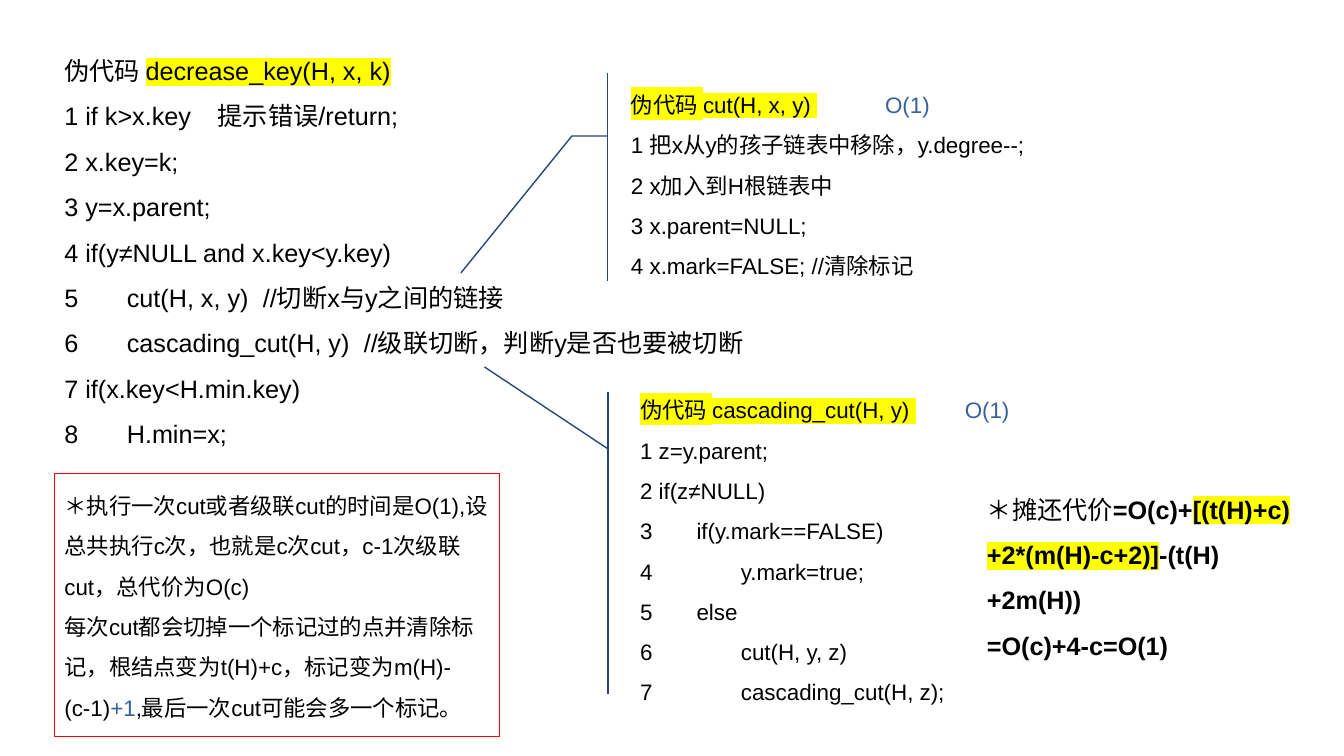
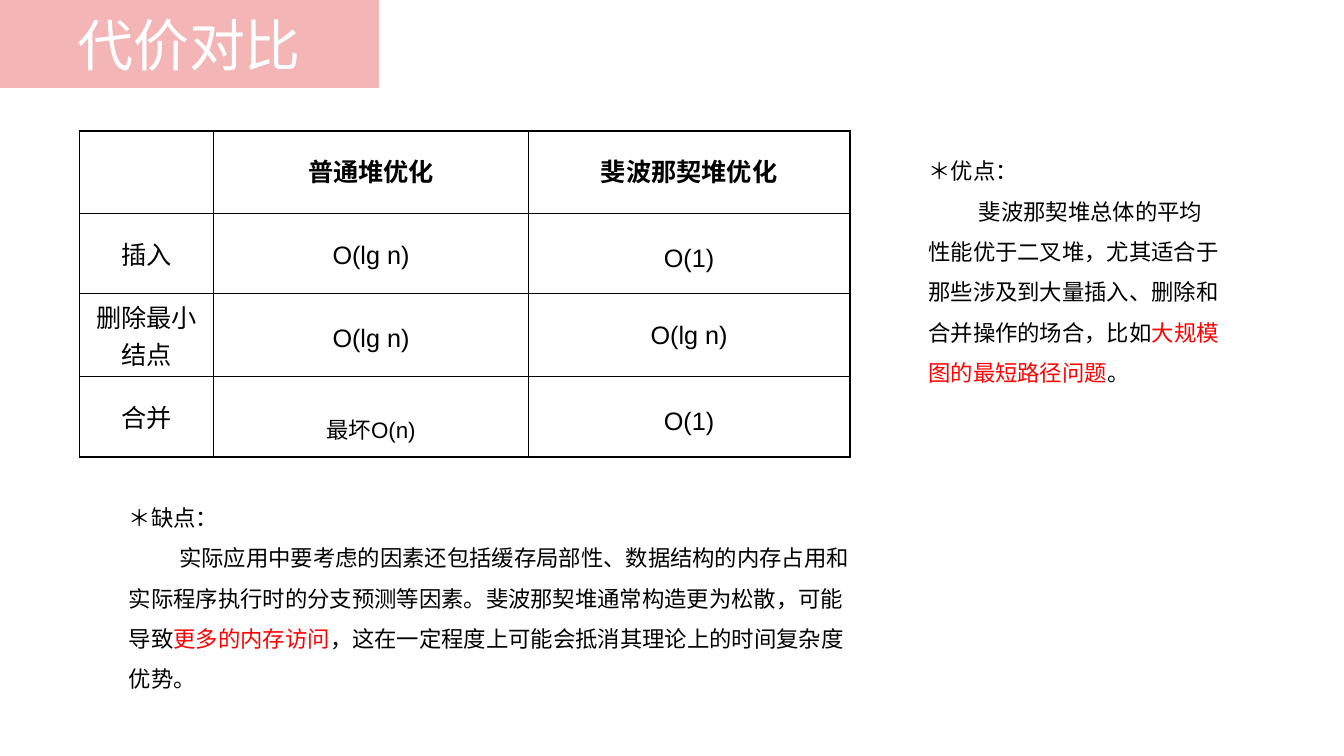
import pptx
import pptx.dml.color
import pptx.enum.shapes
import pptx.enum.text
import pptx.oxml
import pptx.oxml.ns
import pptx.util
from lxml import etree

Inches, Pt = pptx.util.Inches, pptx.util.Pt
qn = pptx.oxml.ns.qn
rgb = pptx.dml.color.RGBColor.from_string
SHAPES = pptx.enum.shapes.MSO_SHAPE
CENTER = pptx.enum.text.PP_ALIGN.CENTER
TOP = pptx.enum.text.MSO_ANCHOR.TOP
MIDDLE = pptx.enum.text.MSO_ANCHOR.MIDDLE

LATIN, CHINESE = "Arial", "Noto Sans CJK SC"
BLACK, WHITE, RED = "000000", "FFFFFF", "FF0000"
BLUE, NAVY, PINK, YELLOW = "37609E", "294775", "F3B5B6", "FFFF00"


def write(frame, paragraphs, size, spacing=1.5, tabs=(), align=None, indents=()):
    """Fill a frame; a paragraph is a string or a list of runs, a run a string or (text, style).

    Spacing counts lines of 1.2 times the text size; indents lists first-line indents.
    """
    frame.word_wrap = True
    for number, runs in enumerate(paragraphs):
        paragraph = frame.paragraphs[0] if number == 0 else frame.add_paragraph()
        paragraph.alignment = align
        if spacing:
            paragraph.line_spacing = Pt(round(spacing * 1.2 * size, 1))
        properties = paragraph._p.get_or_add_pPr()
        if indents:
            properties.set("marL", "0")
            properties.set("indent", str(Inches(indents[number])))
        if tabs:
            stops = etree.SubElement(properties, qn("a:tabLst"))
            for stop in tabs:
                etree.SubElement(stops, qn("a:tab"), pos=str(Inches(stop)), algn="l")
        for item in [runs] if isinstance(runs, str) else runs:
            text, style = (item, {}) if isinstance(item, str) else item
            run = paragraph.add_run()
            run.text = text
            run.font.size = Pt(size)
            run.font.name = LATIN
            run.font.bold = style.get("bold", False)
            run.font.color.rgb = rgb(style.get("color", BLACK))
            run_properties = run._r.get_or_add_rPr()
            latin = run_properties.find(qn("a:latin"))
            latin.addnext(latin.makeelement(qn("a:ea"), {"typeface": CHINESE}))
            if style.get("marked"):
                highlight = etree.Element(qn("a:highlight"))
                etree.SubElement(highlight, qn("a:srgbClr"), val=YELLOW)
                run_properties.find(qn("a:solidFill")).addnext(highlight)


def add_text(slide, box, paragraphs, size, **layout):
    frame = slide.shapes.add_textbox(*map(Inches, box)).text_frame
    write(frame, paragraphs, size, **layout)


deck = pptx.Presentation()
deck.slide_width, deck.slide_height = Inches(13.33), Inches(7.5)
MARKED = {"marked": True}
BOLD = {"bold": True}
IN_BLUE = {"color": BLUE}
IN_RED = {"color": RED}

# Slide 1: pseudocode of decrease_key and its helpers
code_slide = deck.slides.add_slide(deck.slide_layouts[6])

add_text(code_slide, (0.54, 0.35, 11.87, 5.48), [
    ["伪代码 ", ("decrease_key(H, x, k)", MARKED)],
    "1 if k>x.key\t提示错误/return;",
    "2 x.key=k;",
    "3 y=x.parent;",
    "4 if(y≠NULL and x.key<y.key)",
    "5\tcut(H, x, y)\t//切断x与y之间的链接",
    "6\tcascading_cut(H, y)\t//级联切断，判断y是否也要被切断",
    "7 if(x.key<H.min.key)",
    "8\tH.min=x;",
], 18, tabs=(0.62, 1.52, 1.97, 2.97))

callouts = [
    (SHAPES.LINE_CALLOUT_2_ACCENT_BAR, (6.32, 0.72, 3.54, 2.07),
     (0.304, -0.083, 0.304, -0.183, 0.961, -0.494)),
    (SHAPES.LINE_CALLOUT_1_ACCENT_BAR, (6.25, 3.89, 2.64, 3),
     (0.188, -0.083, -0.083, -0.547)),
]
for kind, box, bends in callouts:
    callout = code_slide.shapes.add_shape(kind, *map(Inches, box))
    callout.shadow.inherit = False
    callout.fill.background()
    callout.line.color.rgb = rgb(NAVY)
    callout.line.width = Pt(1)
    for number, bend in enumerate(bends):
        callout.adjustments[number] = bend

add_text(code_slide, (6.16, 0.72, 4.61, 2.39), [
    [("伪代码 cut(H, x, y) ", MARKED), ("\tO(1)", IN_BLUE)],
    "1 把x从y的孩子链表中移除，y.degree--;",
    "2 x加入到H根链表中",
    "3 x.parent=NULL;",
    "4 x.mark=FALSE; //清除标记",
], 16, tabs=(2.52,))

add_text(code_slide, (6.25, 3.75, 5.01, 3.03), [
    [("伪代码 cascading_cut(H, y) ", MARKED), ("\tO(1)", IN_BLUE)],
    "1 z=y.parent;",
    "2 if(z≠NULL)",
    "3\tif(y.mark==FALSE)",
    "4\t\ty.mark=true;",
    "5\telse",
    "6\t\tcut(H, y, z)",
    "7\t\tcascading_cut(H, z);",
], 16, tabs=(0.56, 1, 3.22))

cost_note = code_slide.shapes.add_shape(
    SHAPES.RECTANGLE, Inches(0.54), Inches(4.7), Inches(4.41), Inches(2.61))
cost_note.shadow.inherit = False
cost_note.fill.background()
cost_note.line.color.rgb = rgb(RED)
cost_note.line.width = Pt(0.75)
cost_note.text_frame.vertical_anchor = TOP
write(cost_note.text_frame, [
    "＊执行一次cut或者级联cut的时间是O(1),设总共执行c次，也就是c次cut，"
    "c-1次级联cut，总代价为O(c)",
    ["每次cut都会切掉一个标记过的点并清除标记，根结点变为t(H)+c，标记变为m(H)-(c-1)",
     ("+1", IN_BLUE), ",最后一次cut可能会多一个标记。"],
], 16, align=pptx.enum.text.PP_ALIGN.LEFT)

add_text(code_slide, (9.69, 4.7, 3.26, 2.2), [
    ["＊摊还代价", ("=O(c)+", BOLD),
     ("[(t(H)+c)+2*(m(H)-c+2)]", {"bold": True, "marked": True}),
     ("-(t(H)+2m(H))", BOLD)],
    [("=O(c)+4-c=O(1)", BOLD)],
], 18)

# Slide 2: comparison of costs
cost_slide = deck.slides.add_slide(deck.slide_layouts[5])

title = cost_slide.shapes.title
title.left, title.top = Inches(0), Inches(0)
title.width, title.height = Inches(3.75), Inches(0.87)
title.fill.solid()
title.fill.fore_color.rgb = rgb(PINK)
title.line.color.rgb = rgb(PINK)
title.line.width = Pt(1)
title.text_frame.auto_size = pptx.enum.text.MSO_AUTO_SIZE.NONE
title.text_frame.vertical_anchor = MIDDLE
write(title.text_frame, [[("代价对比", {"color": WHITE})]], 40, spacing=None, align=CENTER)

# Each cell: text, size, line spacing (None for single)
cost_rows = [
    [("", 18, None), ("普通堆优化", 18, 1.1), ("斐波那契堆优化", 18, 1.1)],
    [("插入", 18, None), ("O(lg n)", 18, 1.7), ("O(1)", 18, 1.8)],
    [("删除最小结点", 18, None), ("O(lg n)", 18, 1.8), ("O(lg n)", 18, 1.7)],
    [("合并", 18, None), ("最坏O(n)", 16, 2.35), ("O(1)", 18, 1.8)],
]
column_widths = (1.33, 3.12, 3.19)
row_heights = (0.82, 0.79, 0.8, 0.8)
costs = cost_slide.shapes.add_table(
    len(cost_rows), len(column_widths), Inches(0.79), Inches(1.3),
    Inches(sum(column_widths)), Inches(sum(row_heights))).table
costs.first_row = costs.horz_banding = False
for column, width in zip(costs.columns, column_widths):
    column.width = Inches(width)
for row, height, entries in zip(costs.rows, row_heights, cost_rows):
    row.height = Inches(height)
    header = entries is cost_rows[0]
    for cell, (text, size, spacing) in zip(row.cells, entries):
        cell.vertical_anchor = MIDDLE if header or spacing is None else TOP
        if text:
            write(cell.text_frame, [[(text, {"bold": header})]], size,
                  spacing=spacing, align=CENTER)
        cell_properties = cell._tc.get_or_add_tcPr()
        for side in ("a:lnL", "a:lnR", "a:lnT", "a:lnB"):
            border = etree.SubElement(cell_properties, qn(side), w=str(Pt(1)))
            ink = etree.SubElement(border, qn("a:solidFill"))
            etree.SubElement(ink, qn("a:srgbClr"), val=BLACK)
        cell.fill.background()

add_text(cost_slide, (9.11, 1.38, 3.1, 2.73), [
    "＊优点：",
    ["斐波那契堆总体的平均性能优于二叉堆，尤其适合于那些涉及到大量插入、删除和合并操作的场合，比如",
     ("大规模图的最短路径问题", IN_RED), "。"],
], 16, indents=(0, 0.5))

add_text(cost_slide, (1.18, 4.82, 7.45, 2.17), [
    "＊缺点：",
    ["实际应用中要考虑的因素还包括缓存局部性、数据结构的内存占用和实际程序执行时的分支预测等因素。"
     "斐波那契堆通常构造更为松散，可能导致",
     ("更多的内存访问", IN_RED),
     "，这在一定程度上可能会抵消其理论上的时间复杂度优势。"],
], 16, indents=(0, 0.5))

deck.save("out.pptx")
